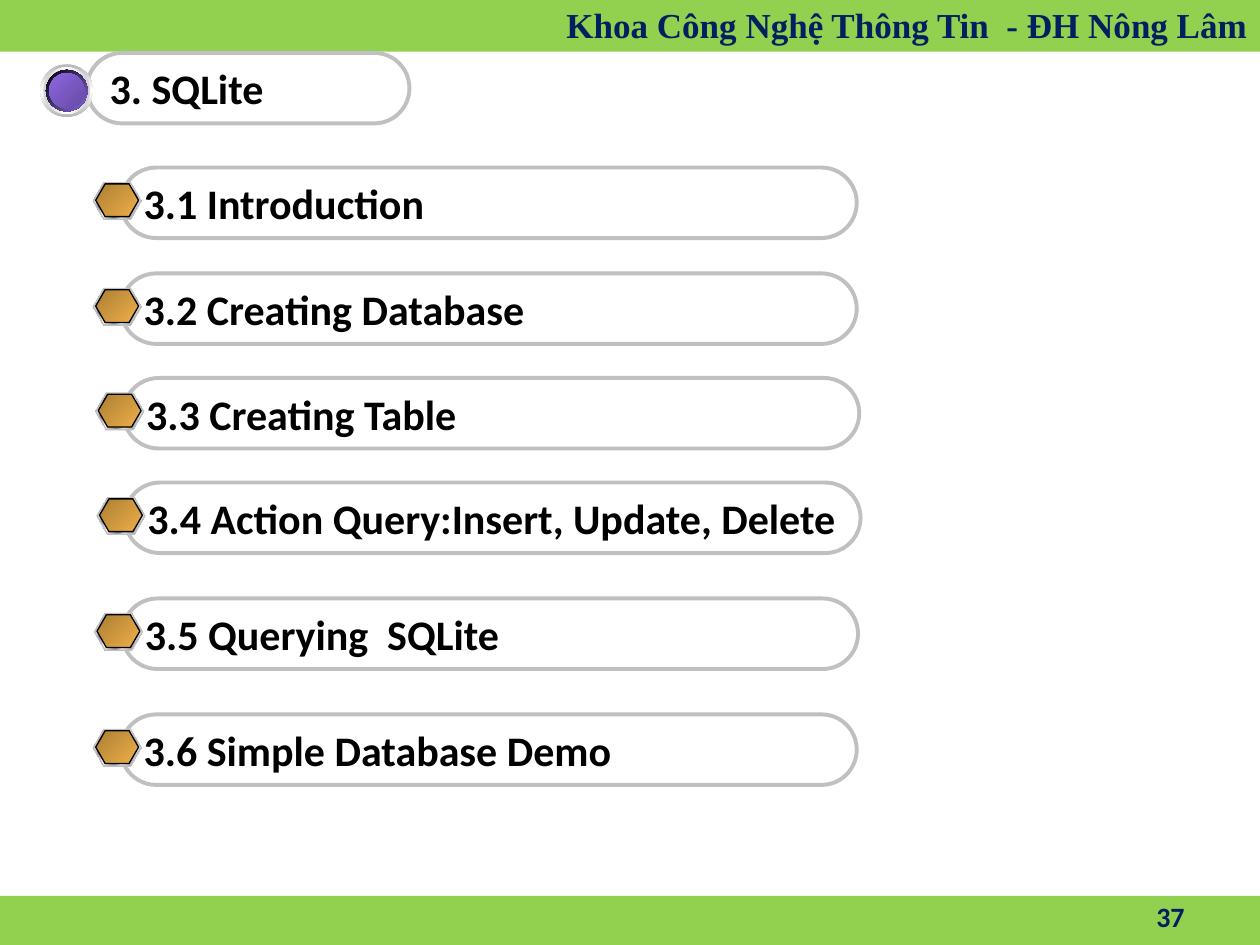
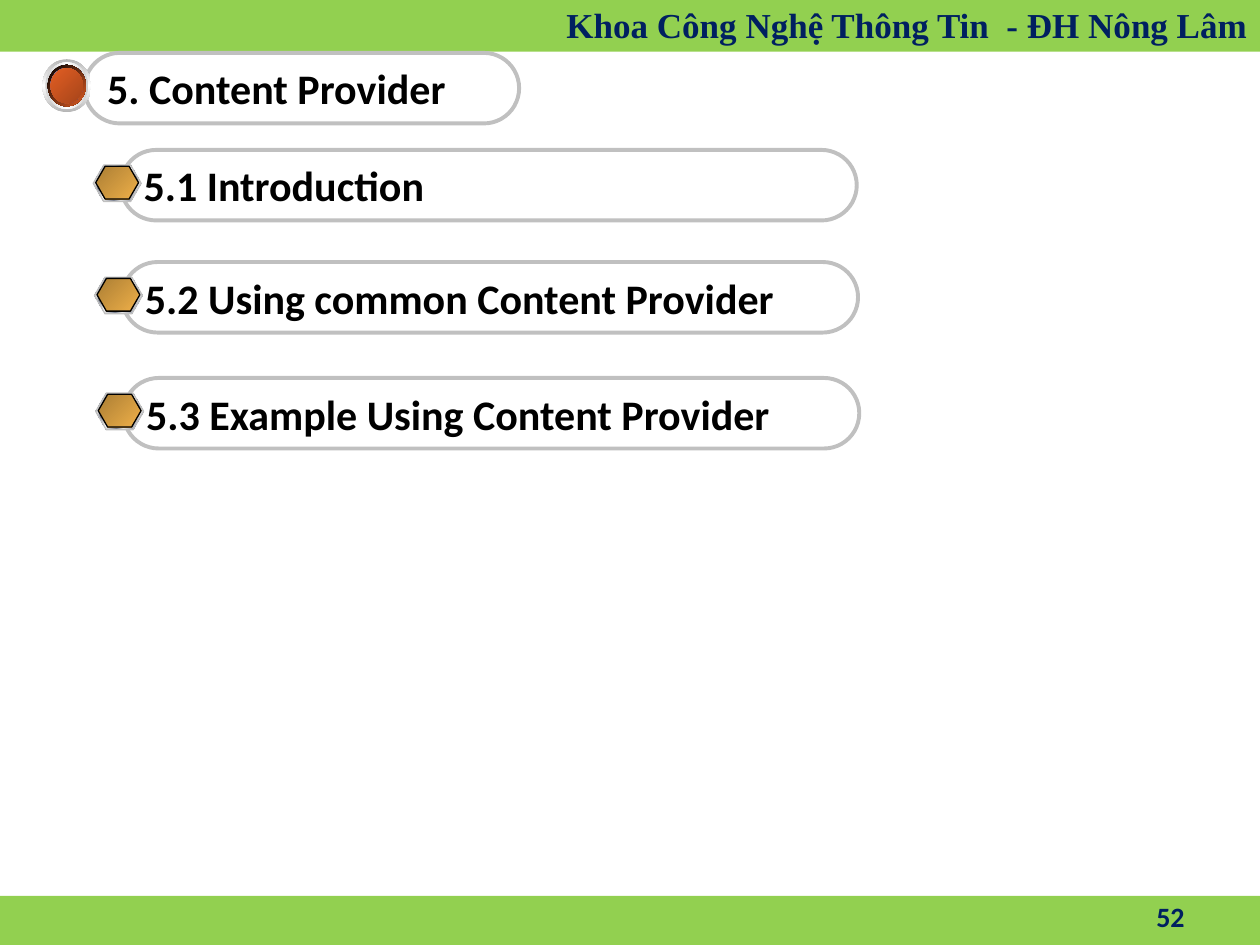
import pptx
import pptx.util
import pptx.dml.color
import pptx.enum.shapes
import pptx.enum.text
import pptx.oxml.ns
import lxml.etree

Inches = pptx.util.Inches
Pt = pptx.util.Pt
RGB = pptx.dml.color.RGBColor
SHAPE = pptx.enum.shapes.MSO_SHAPE
ANCHOR = pptx.enum.text.MSO_ANCHOR
ALIGN = pptx.enum.text.PP_ALIGN
qn = pptx.oxml.ns.qn

GREEN = RGB(0x92, 0xD0, 0x50)
NAVY = RGB(0x00, 0x20, 0x60)
BLACK = RGB(0x00, 0x00, 0x00)
WHITE = RGB(0xFF, 0xFF, 0xFF)
SILVER = RGB(0xC0, 0xC0, 0xC0)
GRAY = RGB(0x80, 0x80, 0x80)
RIM = RGB(0xB6, 0xB6, 0xB6)
RING = RGB(0xD1, 0xD1, 0xD1)
SKY = RGB(0x66, 0x99, 0xFF)
BLUE = RGB(0x4E, 0x75, 0xC3)
PALE = RGB(0xE6, 0xE6, 0xE6)
STEEL = RGB(0x7D, 0x84, 0x96)
BRONZE = RGB(0xAB, 0x7E, 0x34)
GOLD = RGB(0xEF, 0xB0, 0x49)
PURPLE = RGB(0x8D, 0x67, 0xE1)
DARK_PURPLE = RGB(0x67, 0x4B, 0xA4)
ORANGE = RGB(0xE3, 0x5E, 0x23)
DARK_ORANGE = RGB(0xA6, 0x45, 0x1A)

CHROME = ([(0, PALE), (7, STEEL), (26, PALE), (34, STEEL), (46, PALE), (50, WHITE),
           (54, PALE), (66, STEEL), (74, PALE), (93, STEEL), (100, PALE)], 45)
AMBER = ([(0, BRONZE), (100, GOLD)], 45)


def add_shape(shapes, kind, x, y, w, h, fill=None, line=None, weight=0.75):
    sp = shapes.add_shape(kind, Inches(x), Inches(y), Inches(w), Inches(h))
    sp.shadow.inherit = False
    if fill is None:
        sp.fill.background()
    elif isinstance(fill, RGB):
        sp.fill.solid()
        sp.fill.fore_color.rgb = fill
    else:
        stops, angle = fill
        sp.fill.gradient()
        sp.fill.gradient_angle = -angle % 360
        gs_list = sp._element.spPr.find(qn("a:gradFill")).find(qn("a:gsLst"))
        for gs in list(gs_list):
            gs_list.remove(gs)
        for pos, color in stops:
            gs = lxml.etree.SubElement(gs_list, qn("a:gs"), pos=str(pos * 1000))
            lxml.etree.SubElement(gs, qn("a:srgbClr"), val=str(color))
    if line is None:
        sp.line.fill.background()
    else:
        sp.line.color.rgb = line
        sp.line.width = Pt(weight)
    return sp


def add_text(sp, text, size, color, align, font="Calibri", anchor=ANCHOR.MIDDLE, wrap=True):
    tf = sp.text_frame
    tf.word_wrap = wrap
    tf.vertical_anchor = anchor
    p = tf.paragraphs[0]
    p.alignment = align
    r = p.add_run()
    r.text = text
    r.font.name = font
    r.font.size = Pt(size)
    r.font.bold = True
    r.font.color.rgb = color
    return p


slides = [
    {"number": "37", "title": "3. SQLite", "title_x": 0.69, "title_w": 2.56,
     "ball": (0.53, 0.72, 1), "colors": (PURPLE, DARK_PURPLE),
     "items": [(0.96, 1.33, "3.1 Introduction"),
               (0.96, 2.17, "3.2 Creating Database"),
               (0.98, 3, "3.3 Creating Table"),
               (0.99, 3.83, "3.4 Action Query:Insert, Update, Delete"),
               (0.97, 4.75, "3.5 Querying  SQLite"),
               (0.96, 5.67, "3.6 Simple Database Demo")]},
    {"number": "52", "title": "5. Content Provider", "title_x": 0.67, "title_w": 3.45,
     "ball": (0.53, 0.68, 0.92), "colors": (ORANGE, DARK_ORANGE),
     "items": [(0.96, 1.19, "5.1 Introduction"),
               (0.97, 2.08, "5.2 Using common Content Provider"),
               (0.98, 3, "5.3 Example Using Content Provider")]},
]

prs = pptx.Presentation()
prs.slide_width = Inches(10)
prs.slide_height = Inches(7.5)

for data in slides:
    s = prs.slides.add_slide(prs.slide_layouts[6])
    add_shape(s.shapes, SHAPE.RECTANGLE, 0, 7.11, 10, 0.39, GREEN)
    sp = add_shape(s.shapes, SHAPE.RECTANGLE, 0, -0.3, 10, 0.71, GREEN)
    p = add_text(sp, "Khoa Công Nghệ Thông Tin  - ĐH Nông Lâm", 20, NAVY, ALIGN.RIGHT,
                 "Times New Roman", ANCHOR.BOTTOM)
    p.line_spacing = 1.8
    sp = s.shapes.add_textbox(Inches(7.17), Inches(7.07), Inches(2.33), Inches(0.4))
    add_text(sp, data["number"], 16, NAVY, ALIGN.RIGHT)

    sp = add_shape(s.shapes, SHAPE.ROUNDED_RECTANGLE, data["title_x"], 0.42,
                   data["title_w"], 0.56, None, SILVER, 2.25)
    sp.adjustments[0] = 0.5
    add_text(sp, data["title"], 24, BLACK, ALIGN.LEFT, wrap=False)

    cx, cy, squeeze = data["ball"]
    light, dark = data["colors"]
    ball = s.shapes.add_group_shape()
    for size, fill in [
        (0.42, ([(0, RIM), (50, WHITE), (100, RIM)], 90)),
        (0.37, ([(0, RING), (50, WHITE), (100, RING)], 0)),
        (0.33, ([(0, WHITE), (50, SKY), (100, WHITE)], 45)),
        (0.33, ([(0, BLACK), (100, light)], 45)),
        (0.28, ([(0, BLUE), (50, SKY), (100, BLUE)], 315)),
        (0.28, ([(0, light), (100, dark)], 45)),
    ]:
        w = size * squeeze
        add_shape(ball.shapes, SHAPE.OVAL, cx - w / 2, cy - size / 2, w, size, fill)

    for x, y, text in data["items"]:
        item = s.shapes.add_group_shape()
        sp = add_shape(item.shapes, SHAPE.ROUNDED_RECTANGLE, x, y, 5.84, 0.56,
                       None, SILVER, 2.25)
        sp.adjustments[0] = 0.5
        add_text(sp, text, 24, BLACK, ALIGN.LEFT, wrap=False)
        for dx, dy, w, h, fill, line in [
            (-0.22, 0.12, 0.38, 0.29, GRAY, None),
            (-0.22, 0.12, 0.38, 0.29, CHROME, SILVER),
            (-0.2, 0.13, 0.34, 0.26, AMBER, BLACK),
        ]:
            sp = add_shape(item.shapes, SHAPE.HEXAGON, x + dx, y + dy, w, h, fill, line)
            sp.adjustments[0] = 0.289
            sp.adjustments[1] = 1.155

prs.save("out.pptx")
